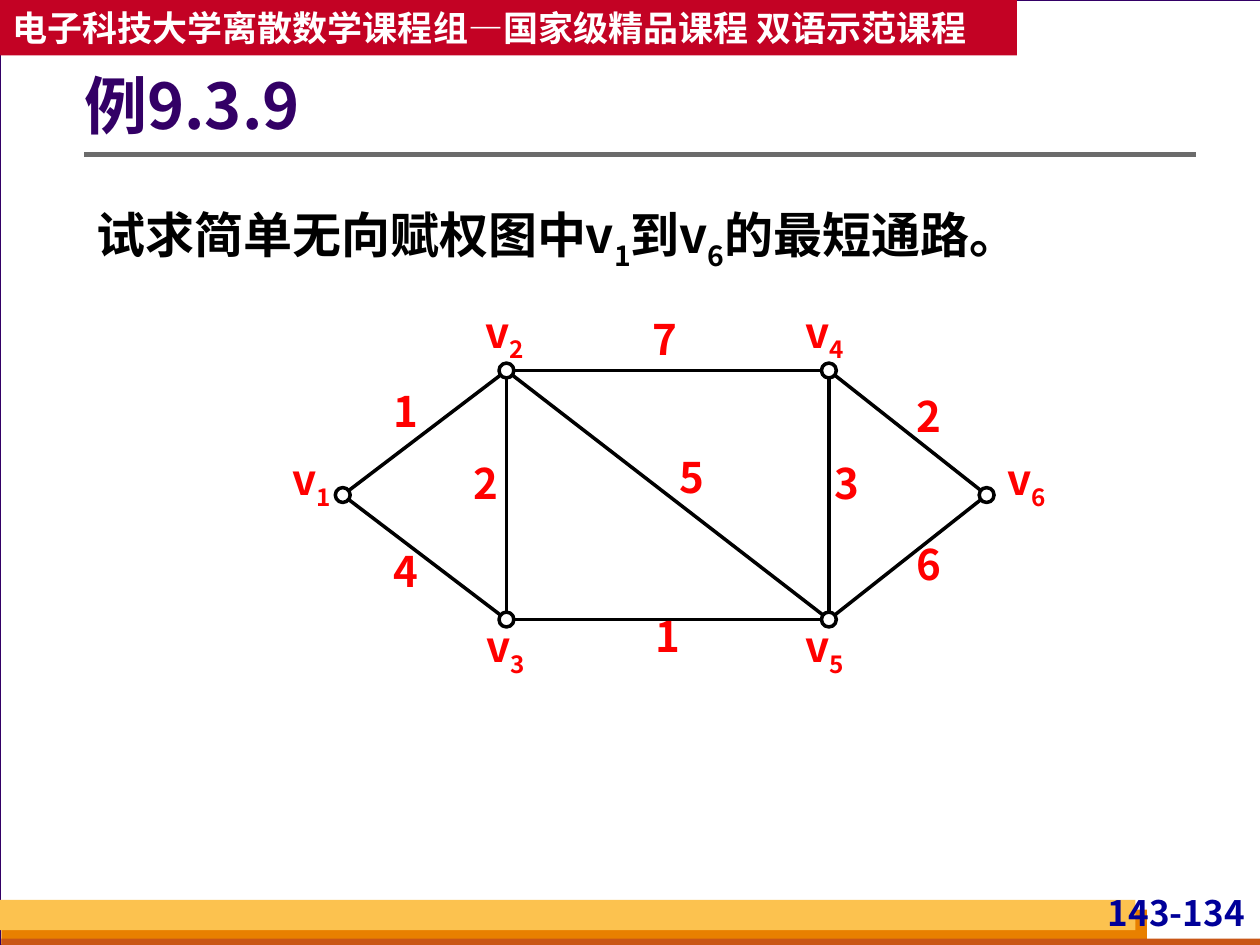
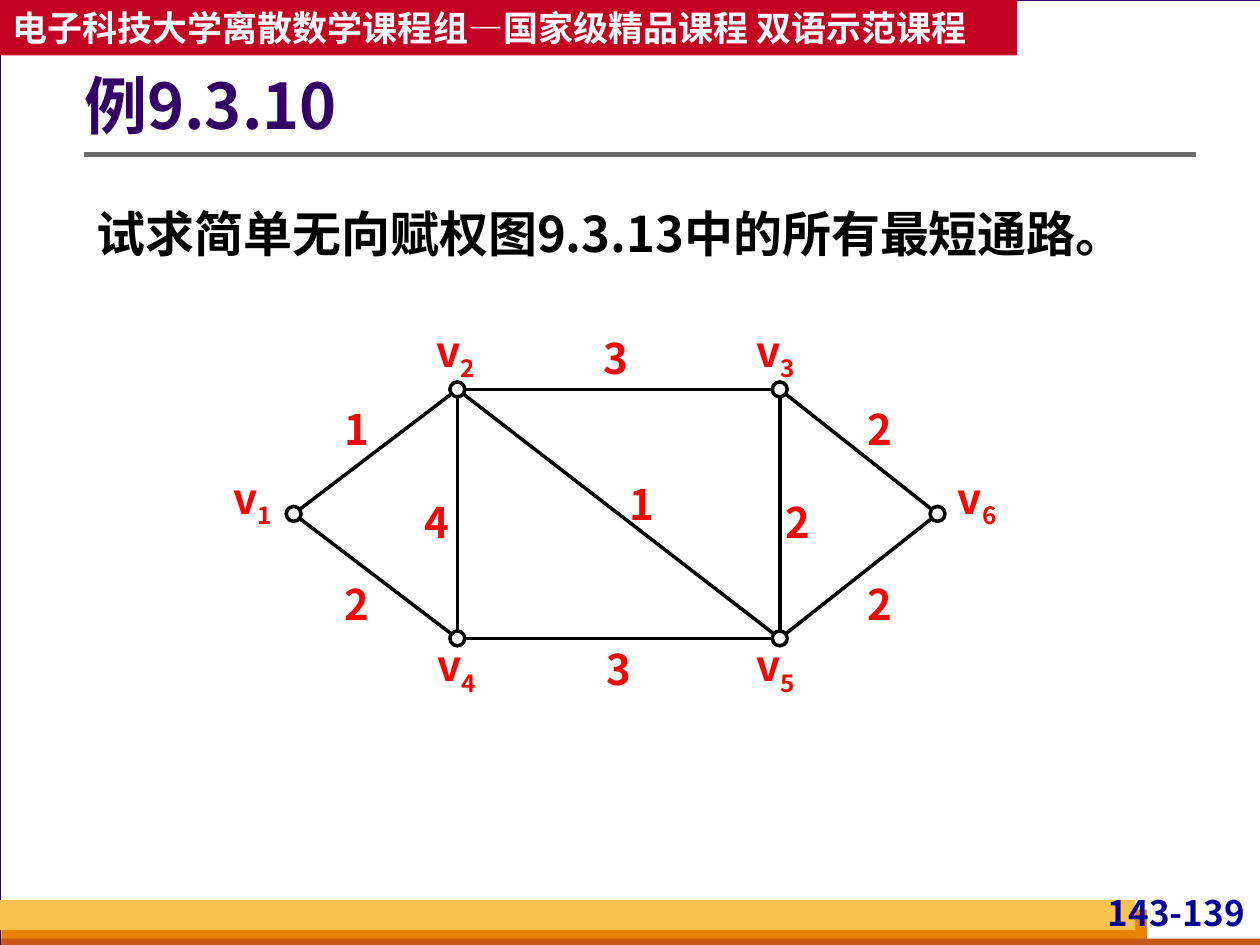
import pptx
import pptx.util
import pptx.dml.color
import pptx.enum.shapes
import pptx.enum.text
import pptx.oxml.ns
import lxml.etree
from dataclasses import dataclass

Cm = pptx.util.Cm
Pt = pptx.util.Pt
ALIGN = pptx.enum.text.PP_ALIGN
ANCHOR = pptx.enum.text.MSO_ANCHOR
SHAPE = pptx.enum.shapes.MSO_SHAPE

HEADER = "电子科技大学离散数学课程组—国家级精品课程 双语示范课程"

VERTICES = {
    "left": (0, 0),
    "top_left": (3.3, -2.51),
    "bottom_left": (3.3, 2.51),
    "top_right": (9.8, -2.51),
    "bottom_right": (9.8, 2.51),
    "right": (12.98, 0),
}
EDGES = [
    ("left", "top_left"),
    ("left", "bottom_left"),
    ("top_left", "top_right"),
    ("bottom_left", "bottom_right"),
    ("top_left", "bottom_left"),
    ("top_right", "bottom_right"),
    ("top_left", "bottom_right"),
    ("top_right", "right"),
    ("bottom_right", "right"),
]
NAME_OFFSETS = {
    "top_left": (-0.04, -0.71),
    "bottom_left": (-0.01, 0.61),
    "top_right": (-0.09, -0.71),
    "bottom_right": (-0.09, 0.61),
    "right": (0.8, -0.25),
}

EXAMPLES = [
    {
        "title": "例9.3.9",
        "page": "143-134",
        "question": [("试求简单无向赋权图中v", False), ("1", True), ("到v", False),
                     ("6", True), ("的最短通路。", False)],
        "origin": (6.91, 9.98),
        "names": dict(zip(VERTICES, "123456")) | {"top_right": "4", "bottom_left": "3"},
        "left_name_offset": (-0.62, -0.25),
        "weights": [("1", -0.38, -0.45), ("4", -0.38, 0.27), ("7", -0.06, -0.64),
                    ("1", 0, 0.33), ("2", -0.41, -0.25), ("3", 0.36, -0.25),
                    ("5", 0.48, -0.36), ("2", 0.42, -0.34), ("6", 0.42, 0.14)],
    },
    {
        "title": "例9.3.10",
        "page": "143-139",
        "question": [("试求简单无向赋权图9.3.13中的所有最短通路。", False)],
        "origin": (5.92, 10.36),
        "names": dict(zip(VERTICES, "124356")),
        "left_name_offset": (-0.83, -0.25),
        "weights": [("1", -0.38, -0.47), ("2", -0.38, 0.55), ("3", -0.06, -0.64),
                    ("3", 0, 0.61), ("4", -0.41, 0.15), ("2", 0.36, 0.15),
                    ("1", 0.48, -0.2), ("2", 0.42, -0.47), ("2", 0.42, 0.55)],
    },
]


@dataclass(frozen=True)
class Theme:
    font: str = "Noto Sans CJK SC"
    backdrop: str = "D8DADA"
    white: str = "FFFFFF"
    purple: str = "330066"
    red_band: str = "C30224"
    orange: str = "E88000"
    rust: str = "C95616"
    yellow: str = "FCC24F"
    rule: str = "6B6B6B"
    page: str = "000099"
    ink: str = "000000"
    label: str = "FF0000"
    small: int = 20
    graph: int = 24
    body: int = 28
    title: int = 36


THEME = Theme()
BANDS = [
    (0.03, 18.34, 23.09, 0.71, THEME.orange),
    (0.03, 18.92, 25.4, 0.2, THEME.rust),
    (0, 18.14, 22.89, 0.61, THEME.yellow),
]


def color(value):
    return pptx.dml.color.RGBColor.from_string(value)


def set_all(target, values):
    for name, value in values.items():
        setattr(target, name, value)


def write(shape, runs, size, ink, margins=(0, 0, 0, 0), frame=None, paragraph=None):
    sides = ("margin_left", "margin_top", "margin_right", "margin_bottom")
    text_frame = shape.text_frame
    set_all(text_frame, {"word_wrap": True, "vertical_anchor": ANCHOR.TOP,
                         "auto_size": pptx.enum.text.MSO_AUTO_SIZE.NONE}
            | dict(zip(sides, map(Cm, margins))) | (frame or {}))
    first = text_frame.paragraphs[0]
    set_all(first, {"alignment": ALIGN.LEFT, "space_before": Pt(0)} | (paragraph or {}))
    for text, is_subscript in runs:
        run = first.add_run()
        run.text = text
        set_all(run.font, {"size": Pt(size), "bold": True, "name": THEME.font})
        run.font.color.rgb = color(ink)
        properties = run.font._element
        east_asian = lxml.etree.SubElement(properties, pptx.oxml.ns.qn("a:ea"))
        east_asian.set("typeface", THEME.font)
        if is_subscript:
            properties.set("baseline", "-25000")


def add_box(slide, left, top, width, height, fill, line=None, weight=0, kind=SHAPE.RECTANGLE):
    shape = slide.shapes.add_shape(kind, Cm(left), Cm(top), Cm(width), Cm(height))
    shape.shadow.inherit = False
    shape.fill.solid()
    shape.fill.fore_color.rgb = color(fill)
    if line:
        shape.line.color.rgb = color(line)
        shape.line.width = Pt(weight)
    else:
        shape.line.fill.background()
    return shape


def add_line(slide, start, end, ink, weight):
    line = slide.shapes.add_connector(
        pptx.enum.shapes.MSO_CONNECTOR.STRAIGHT, *map(Cm, (*start, *end)))
    line.line.color.rgb = color(ink)
    line.line.width = Pt(weight)
    lxml.etree.SubElement(line._element.spPr, pptx.oxml.ns.qn("a:effectLst"))


def add_text(slide, left, top, width, height, runs, size, ink, **formats):
    box = slide.shapes.add_textbox(Cm(left), Cm(top), Cm(width), Cm(height))
    write(box, runs, size, ink, **formats)


def add_label(slide, center, width, height, runs):
    add_text(slide, center[0] - width / 2, center[1] - height / 2, width, height, runs,
             THEME.graph, THEME.label, paragraph={"alignment": ALIGN.CENTER})


def shift(point, offset):
    return point[0] + offset[0], point[1] + offset[1]


def add_frame(slide, example):
    slide.background.fill.solid()
    slide.background.fill.fore_color.rgb = color(THEME.backdrop)
    add_box(slide, 0, 0, 25.43, 19.05, THEME.white, THEME.purple, 0.75)
    for band in BANDS:
        add_box(slide, *band)
    add_text(slide, 22.1, 17.98, 3.1, 0.97, [(example["page"], False)],
             THEME.small, THEME.page, margins=(0.1, 0, 0.1, 0),
             frame={"word_wrap": False}, paragraph={"alignment": ALIGN.RIGHT})
    add_line(slide, (1.7, 3.12), (24.1, 3.12), THEME.rule, 3)
    header = add_box(slide, 0, 0, 20.5, 1.12, THEME.red_band)
    write(header, [(HEADER, False)], THEME.small, THEME.white,
          margins=(0.25, 0.13, 0.25, 0.13),
          frame={"word_wrap": False, "vertical_anchor": ANCHOR.MIDDLE})

    title = slide.shapes.title
    slide.shapes.element.append(title.element)
    set_all(title, {"left": Cm(1.7), "top": Cm(0.91), "width": Cm(22.4), "height": Cm(2.57)})
    write(title, [(example["title"], False)], THEME.title, THEME.purple,
          margins=(0, 0.13, 0.25, 0.13), frame={"vertical_anchor": ANCHOR.MIDDLE},
          paragraph={"line_spacing": 0.9})
    add_text(slide, 1.7, 3.73, 22.4, 1.88, example["question"], THEME.body, THEME.ink,
             margins=(0.25, 0.13, 0.25, 0.13),
             paragraph={"alignment": ALIGN.JUSTIFY, "line_spacing": 1.2})


def add_graph(slide, example):
    centers = {key: shift(example["origin"], place) for key, place in VERTICES.items()}
    for start, end in EDGES:
        add_line(slide, centers[start], centers[end], THEME.ink, 2)
    for (start, end), (weight, across, down) in zip(EDGES, example["weights"]):
        middle = [(a + b) / 2 for a, b in zip(centers[start], centers[end])]
        add_label(slide, shift(middle, (across, down)), 0.6, 1.02, [(weight, False)])
    diameter = 0.3
    name_offsets = NAME_OFFSETS | {"left": example["left_name_offset"]}
    for key, (x, y) in centers.items():
        add_box(slide, x - diameter / 2, y - diameter / 2, diameter, diameter,
                THEME.white, THEME.ink, 2, SHAPE.OVAL)
        add_label(slide, shift((x, y), name_offsets[key]), 1.19, 1.17,
                  [("v", False), (example["names"][key], True)])


def main():
    presentation = pptx.Presentation()
    presentation.slide_width = Cm(25.4)
    presentation.slide_height = Cm(19.05)
    for example in EXAMPLES:
        slide = presentation.slides.add_slide(presentation.slide_layouts[5])
        add_frame(slide, example)
        add_graph(slide, example)
    presentation.save("out.pptx")


if __name__ == "__main__":
    main()
